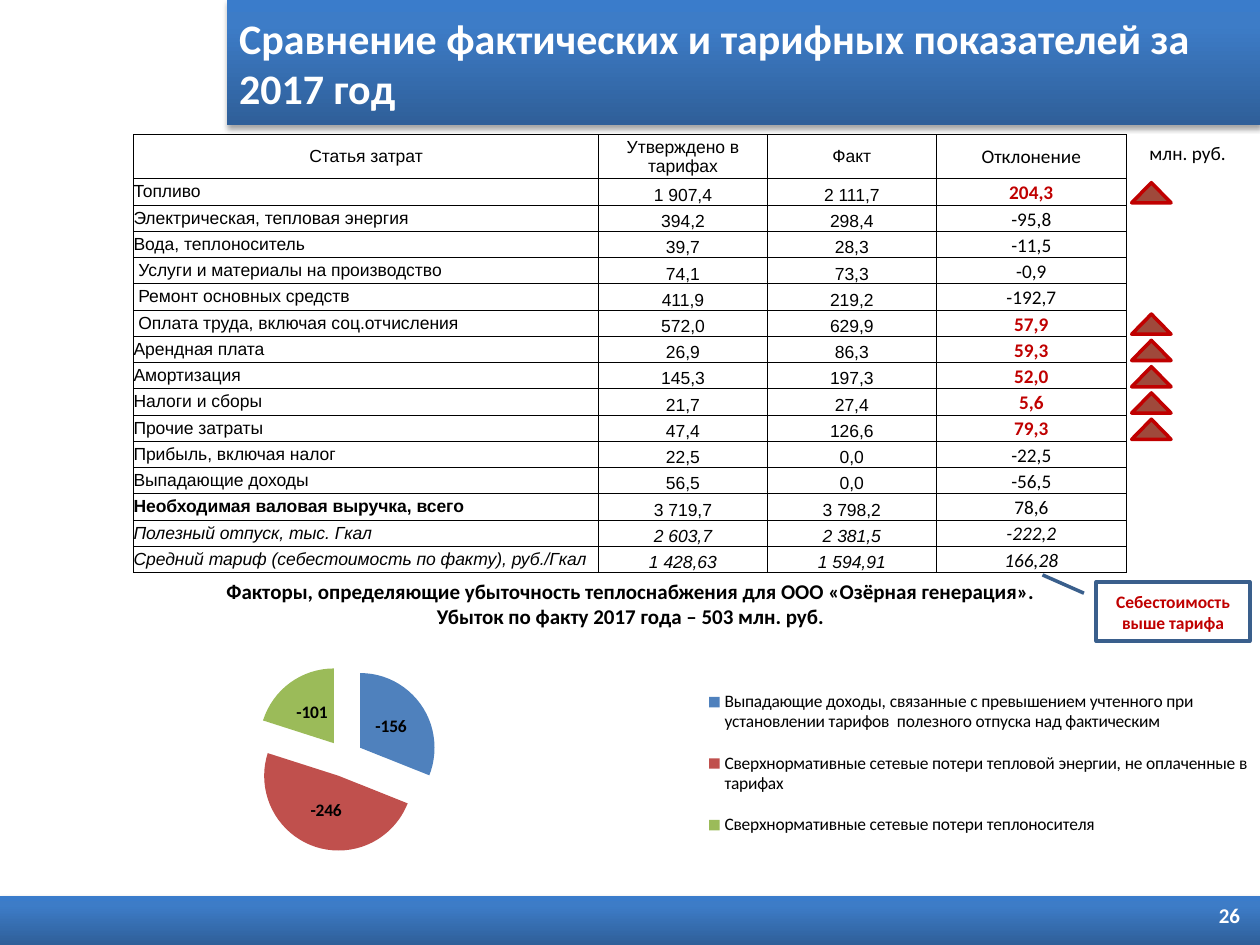
from pptx import Presentation
from pptx.chart.data import CategoryChartData
from pptx.dml.color import RGBColor
from pptx.enum.chart import XL_CHART_TYPE, XL_LABEL_POSITION as LABEL, XL_LEGEND_POSITION as LEGEND
from pptx.enum.shapes import MSO_SHAPE as SHAPE
from pptx.enum.text import MSO_ANCHOR as ANCHOR, PP_ALIGN as ALIGN
from pptx.oxml import parse_xml
from pptx.util import Pt

NS = 'xmlns:a="http://schemas.openxmlformats.org/drawingml/2006/main"'
CNS = 'xmlns:c="http://schemas.openxmlformats.org/drawingml/2006/chart"'
BLACK, WHITE, RED = "000000", "FFFFFF", "C00000"
HEAD_H, ROW_H = 25.2, 15.02
COLS = [265.7, 96.5, 96.5, 108.7]
HEADER = ["Статья затрат", "Утверждено в тарифах", "Факт", "Отклонение"]
COSTS = [
    ["Топливо", "1 907,4", "2 111,7", "204,3"],
    ["Электрическая, тепловая энергия", "394,2", "298,4", "-95,8"],
    ["Вода, теплоноситель", "39,7", "28,3", "-11,5"],
    ["Услуги и материалы на производство", "74,1", "73,3", "-0,9"],
    ["Ремонт основных средств", "411,9", "219,2", "-192,7"],
    ["Оплата труда, включая соц.отчисления", "572,0", "629,9", "57,9"],
    ["Арендная плата", "26,9", "86,3", "59,3"],
    ["Амортизация", "145,3", "197,3", "52,0"],
    ["Налоги и сборы", "21,7", "27,4", "5,6"],
    ["Прочие затраты", "47,4", "126,6", "79,3"],
    ["Прибыль, включая налог", "22,5", "0,0", "-22,5"],
    ["Выпадающие доходы", "56,5", "0,0", "-56,5"],
    ["Необходимая валовая выручка, всего", "3 719,7", "3 798,2", "78,6"],
    ["Полезный отпуск, тыс. Гкал", "2 603,7", "2 381,5", "-222,2"],
    ["Средний тариф (себестоимость по факту), руб./Гкал", "1 428,63", "1 594,91", "166,28"],
]
OVERRUN_ROWS = (1, 6, 7, 8, 9, 10)
INDENTED_ROWS = (4, 5, 6)
TOTAL_ROW = 13
LOSSES = [
    ("Выпадающие доходы, связанные с превышением учтенного при установлении тарифов  полезного отпуска над фактическим", -156, "4F81BD"),
    ("Сверхнормативные сетевые потери тепловой энергии, не оплаченные в тарифах", -246, "C0504D"),
    ("Сверхнормативные сетевые потери теплоносителя", -101, "9BBB59"),
]


def rgb(value):
    """Turn a hex string into a colour."""
    return RGBColor.from_string(value)


def style(font, size, color=BLACK, bold=False, italic=False, name="Calibri"):
    """Set all the properties of a font."""
    font.size, font.name, font.bold, font.italic = Pt(size), name, bold, italic
    font.color.rgb = rgb(color)


def write(tf, lines, size, color=BLACK, bold=False, align=ALIGN.LEFT, anchor=ANCHOR.TOP, wrap=True):
    """Fill a text frame with one paragraph per line."""
    tf.word_wrap, tf.vertical_anchor = wrap, anchor
    for i, line in enumerate(lines):
        p = tf.paragraphs[0] if i == 0 else tf.add_paragraph()
        p.text, p.alignment = line, align
        style(p.font, size, color, bold)


def add_text(s, box, lines, size, **options):
    """Add a text box."""
    write(s.shapes.add_textbox(*map(Pt, box)).text_frame, lines, size, **options)


def add_band(s, box):
    """Add a blue gradient band with a soft shadow and return it."""
    sp = s.shapes.add_shape(SHAPE.RECTANGLE, *map(Pt, box))
    sp.line.fill.background()
    sp.fill.background()
    stops = "".join(
        f'<a:gs pos="{pos}000"><a:srgbClr val="{color}"/></a:gs>'
        for pos, color in ((0, "2F5F99"), (80, "3D7CC7"), (100, "3A7CCB")))
    props = sp._element.spPr
    props.replace(props.find("{*}noFill"), parse_xml(
        f'<a:gradFill {NS} rotWithShape="1"><a:gsLst>{stops}</a:gsLst>'
        '<a:lin ang="16200000" scaled="0"/></a:gradFill>'))
    props.append(parse_xml(
        f'<a:effectLst {NS}><a:outerShdw blurRad="{Pt(3.1)}" dist="{Pt(1.8)}" dir="5400000" '
        'rotWithShape="0"><a:srgbClr val="000000"><a:alpha val="35000"/></a:srgbClr>'
        '</a:outerShdw></a:effectLst>'))
    return sp


def add_borders(cell):
    """Draw thin black lines on all sides of a cell."""
    props = cell._tc.get_or_add_tcPr()
    for i, side in enumerate("LRTB"):
        props.insert(i, parse_xml(
            f'<a:ln{side} {NS} w="{Pt(0.5)}"><a:solidFill><a:srgbClr val="{BLACK}"/>'
            f'</a:solidFill></a:ln{side}>'))


def fill_cell(cell, text, row, col):
    """Write and format one cell of the cost table."""
    cell.margin_left = cell.margin_right = cell.margin_top = cell.margin_bottom = 0
    if col == 0 and row in INDENTED_ROWS:
        cell.margin_left = Pt(2.8)
    cell.vertical_anchor = ANCHOR.MIDDLE if row == 0 or col == 0 else ANCHOR.BOTTOM
    if col == 0 and row >= 7:
        cell.fill.solid()
        cell.fill.fore_color.rgb = rgb(WHITE)
    else:
        cell.fill.background()
    add_borders(cell)
    p = cell.text_frame.paragraphs[0]
    p.text = text
    p.alignment = ALIGN.JUSTIFY if col == 0 and row else ALIGN.CENTER
    last = col == len(COLS) - 1
    overrun = last and row in OVERRUN_ROWS
    style(p.font, 11 if last else 10, RED if overrun else BLACK,
          overrun or (col == 0 and row == TOTAL_ROW), row > TOTAL_ROW,
          "Calibri" if last else "Arial")


def add_cost_table(s, left, top):
    """Add the cost table, its unit and the markers of overrun rows."""
    rows = [HEADER] + COSTS
    width = sum(COLS)
    table = s.shapes.add_table(len(rows), len(COLS), Pt(left), Pt(top), Pt(width),
                               Pt(HEAD_H + ROW_H * len(COSTS))).table
    table.first_row = table.horz_banding = False
    for column, w in zip(table.columns, COLS):
        column.width = Pt(w)
    for i, values in enumerate(rows):
        table.rows[i].height = Pt(ROW_H if i else HEAD_H)
        for j, text in enumerate(values):
            fill_cell(table.cell(i, j), text, i, j)
    add_text(s, (left + width + 6, top, 58.3, 20.9), ["млн. руб."], 11, wrap=False)
    for i in OVERRUN_ROWS:
        y = top + HEAD_H + ROW_H * (i - 1) + 2.2
        sp = s.shapes.add_shape(SHAPE.ISOSCELES_TRIANGLE, Pt(left + width + 3), Pt(y), Pt(22.5), Pt(11.5))
        sp.shadow.inherit = False
        sp.fill.solid()
        sp.fill.fore_color.rgb = rgb("9F493B")
        sp.line.color.rgb, sp.line.width = rgb(RED), Pt(2)


def add_callout(s, box):
    """Add the callout that points at the average tariff."""
    sp = s.shapes.add_shape(SHAPE.LINE_CALLOUT_1, *map(Pt, box))
    sp.shadow.inherit = False
    for i, value in enumerate((0.19, -0.08, -0.12, -0.35)):
        sp.adjustments[i] = value
    sp.fill.background()
    sp.line.color.rgb, sp.line.width = rgb("3A5F8C"), Pt(2)
    write(sp.text_frame, ["Себестоимость выше тарифа"], 10, color=RED, bold=True,
          align=ALIGN.CENTER, anchor=ANCHOR.MIDDLE)


def set_layout(element, x, y, w, h, inner=False):
    """Fix the place of a chart part as fractions of the chart."""
    for old in element.findall("{*}layout"):
        element.remove(old)
    target = '<c:layoutTarget val="inner"/>' if inner else ""
    values = "".join(f'<c:{k} val="{v}"/>' for k, v in zip("xywh", (x, y, w, h)))
    layout = parse_xml(
        f'<c:layout {CNS}><c:manualLayout>{target}<c:xMode val="edge"/><c:yMode val="edge"/>'
        f'{values}</c:manualLayout></c:layout>')
    element.insert(0 if inner else 1, layout)


def add_loss_chart(s, box):
    """Add the exploded pie of loss factors."""
    data = CategoryChartData()
    data.categories = [name for name, _, _ in LOSSES]
    data.add_series("Убыток", [value for _, value, _ in LOSSES])
    chart = s.shapes.add_chart(XL_CHART_TYPE.PIE_EXPLODED, *map(Pt, box), data).chart
    chart.has_title = False
    style(chart.font, 10)
    chart.has_legend = True
    chart.legend.position, chart.legend.include_in_layout = LEGEND.RIGHT, False
    set_layout(chart.legend._element, 0.56, 0.15, 0.44, 0.72)
    set_layout(chart._chartSpace.chart.plotArea, 0.2, 0.13, 0.15, 0.72, inner=True)
    plot = chart.plots[0]
    plot.vary_by_categories = True
    for i, (_, _, color) in enumerate(LOSSES):
        fill = plot.series[0].points[i].format.fill
        fill.solid()
        fill.fore_color.rgb = rgb(color)
    for explosion in plot._element.iter("{*}explosion"):
        explosion.set("val", "25")
    plot.has_data_labels = True
    labels = plot.data_labels
    labels.show_value, labels.show_percentage = True, False
    labels.number_format, labels.number_format_is_linked = "#,##0", False
    labels.position = LABEL.CENTER
    style(labels.font, 10, bold=True)


def main():
    """Build the slide and save it."""
    prs = Presentation()
    prs.slide_width, prs.slide_height = Pt(720), Pt(540)
    s = prs.slides.add_slide(prs.slide_layouts[6])
    title = add_band(s, (129.6, 0, 590.4, 71.3))
    write(title.text_frame, ["Сравнение фактических и тарифных показателей за 2017 год"], 24,
          color=WHITE, bold=True, anchor=ANCHOR.MIDDLE)
    add_band(s, (0, 512, 720, 28))
    add_text(s, (675.4, 506.2, 40.3, 33.8), ["26"], 12, color=WHITE, bold=True,
             align=ALIGN.RIGHT, anchor=ANCHOR.MIDDLE)
    add_cost_table(s, 76.3, 77)
    add_text(s, (14.4, 326.9, 692, 51.1),
             ["Факторы, определяющие убыточность теплоснабжения для ООО «Озёрная генерация».",
              "Убыток по факту 2017 года – 503 млн. руб."], 12, bold=True, align=ALIGN.CENTER)
    add_loss_chart(s, (0, 360.7, 720, 148.3))
    add_callout(s, (626.4, 332.6, 87.8, 33.8))
    prs.save("out.pptx")


if __name__ == "__main__":
    main()
